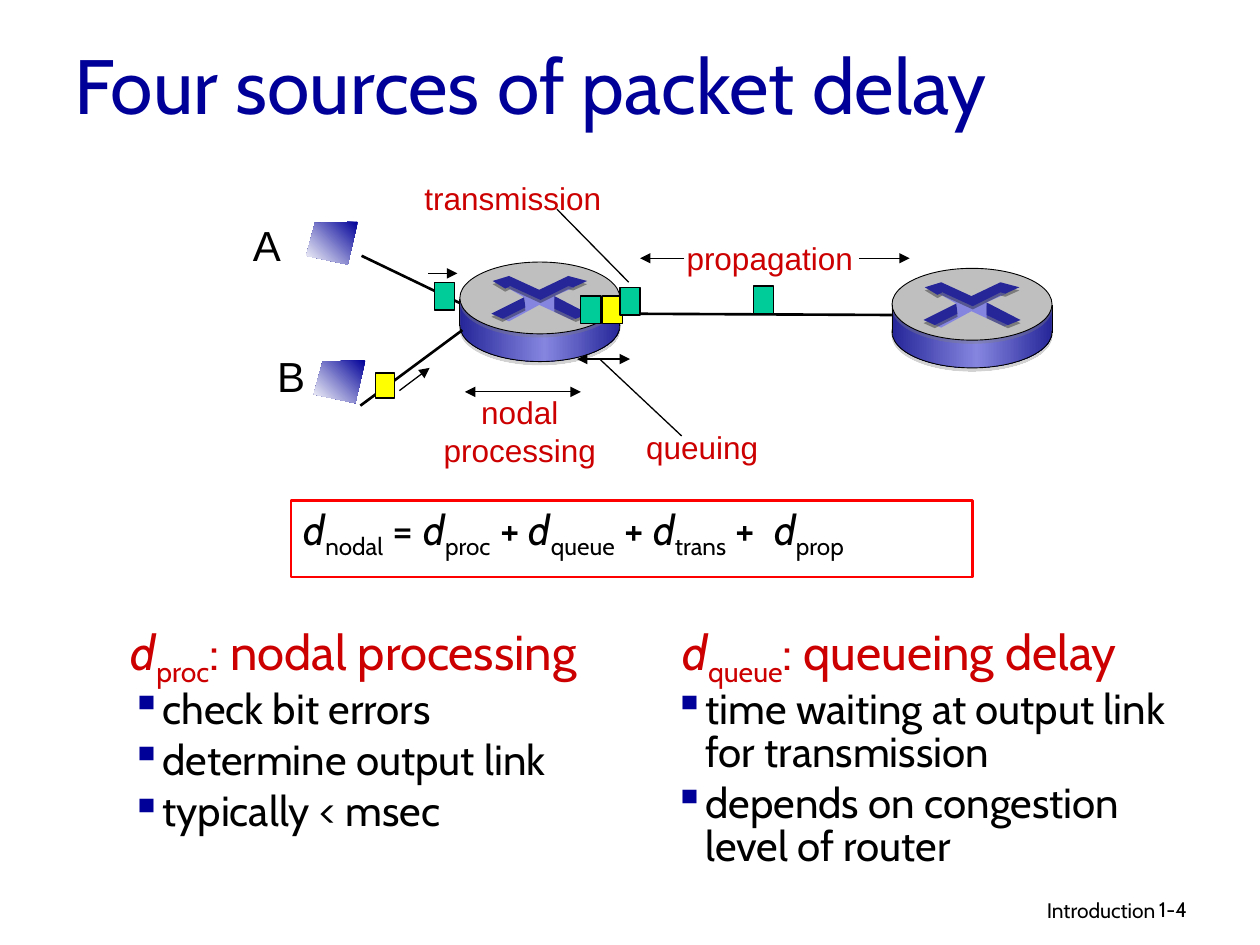
from lxml import etree
from pptx import Presentation
from pptx.dml.color import RGBColor
from pptx.enum.shapes import MSO_CONNECTOR, MSO_SHAPE
from pptx.enum.text import MSO_ANCHOR, MSO_AUTO_SIZE, PP_ALIGN
from pptx.oxml.ns import qn
from pptx.util import Inches, Pt

RECTANGLE, ELLIPSE = MSO_SHAPE.RECTANGLE, MSO_SHAPE.OVAL
STRAIGHT = MSO_CONNECTOR.STRAIGHT
LEFT, CENTER, RIGHT = PP_ALIGN.LEFT, PP_ALIGN.CENTER, PP_ALIGN.RIGHT
TOP, MIDDLE = MSO_ANCHOR.TOP, MSO_ANCHOR.MIDDLE

COLORS = {
    "black": "000000", "white": "FFFFFF", "navy": "000099", "red": "CC0000",
    "frame": "FF0000", "green": "00CC99", "yellow": "FFFF00", "top": "BFBFBF",
    "dark": "262699", "light": "8585E0", "shade": "808080",
}
METAL = [(0, "dark"), (53, "light"), (100, "dark")]
SCREEN = [(0, "navy"), (100, "white")]

# Router arrows, in hundredths of an inch from the router's top left corner
ARROW_SIDES = [(63, 34), (39, 47), (32, 44), (52, 36), (51, 28), (37, 20), (42, 19),
               (63, 29), (85, 18), (91, 20), (75, 27), (78, 38), (94, 44), (89, 46)]
ARROW_TOPS = [
    [(26, 15), (39, 11), (63, 22), (86, 11), (101, 15),
     (90, 20), (86, 19), (64, 30), (40, 19), (36, 21)],
    [(75, 27), (102, 41), (92, 45), (75, 37)],
    [(51, 28), (52, 36), (34, 45), (25, 41)],
]
HOST_OUTLINE = [(41, 0), (7, 1), (0, 27), (33, 34)]


def rgb(name):
    return RGBColor.from_string(COLORS[name])


def add_xml(parent, tag, **attributes):
    return etree.SubElement(parent, qn(tag), attributes)


def add_color(parent, name):
    return add_xml(parent, "a:srgbClr", val=COLORS[name])


def delay(name):
    """The symbol d with a subscript."""
    return [("d", "italic"), (name, "sub")]


class SlideBuilder:
    body_font = "Cabin"
    label_font = "Arial"

    def __init__(self, slide):
        self.slide = slide

    def paint(self, shape, fill=None, angle=0, line=None, weight=0.75, shadow=None):
        """Fill is a colour name, a list of gradient stops or None."""
        if isinstance(fill, list):
            shape.fill.gradient()
            stops = shape._element.spPr.find(".//" + qn("a:gsLst"))
            for stop in list(stops):
                stops.remove(stop)
            for position, name in fill:
                add_color(add_xml(stops, "a:gs", pos=str(position * 1000)), name)
            shape.fill.gradient_angle = angle
        elif fill:
            shape.fill.solid()
            shape.fill.fore_color.rgb = rgb(fill)
        else:
            shape.fill.background()
        if line:
            shape.line.color.rgb = rgb(line)
            shape.line.width = Pt(weight)
        else:
            shape.line.fill.background()
        shape.shadow.inherit = False
        if shadow:
            self.drop_shadow(shape._element.spPr.find(qn("a:effectLst")), shadow)

    def drop_shadow(self, effects, name):
        shadow = add_xml(effects, "a:outerShdw", dist=str(Pt(1.8)), dir="5400000",
                         algn="ctr", rotWithShape="0")
        add_xml(add_color(shadow, name), "a:alpha", val="35000")

    def shape(self, kind, left, top, width, height, **style):
        shape = self.slide.shapes.add_shape(
            kind, Inches(left), Inches(top), Inches(width), Inches(height))
        self.paint(shape, **style)
        return shape

    def outline(self, points, left, top, **style):
        x, y = round(left * 100), round(top * 100)
        corners = [(x + dx, y + dy) for dx, dy in points]
        builder = self.slide.shapes.build_freeform(*corners[0], scale=Inches(0.01))
        builder.add_line_segments(corners[1:], close=True)
        self.paint(builder.convert_to_shape(), **style)

    def line(self, start, end, weight=0.75, head=False, tail=False, shadow=None):
        connector = self.slide.shapes.add_connector(
            STRAIGHT, *(Inches(value) for value in start + end))
        connector.line.color.rgb = rgb("black")
        connector.line.width = Pt(weight)
        properties = connector._element.spPr
        for tag, wanted in (("a:headEnd", head), ("a:tailEnd", tail)):
            if wanted:
                add_xml(properties.find(qn("a:ln")), tag, type="triangle")
        effects = add_xml(properties, "a:effectLst")
        if shadow:
            self.drop_shadow(effects, shadow)

    def paragraph(self, paragraph, runs, size, color="black", font=None, align=LEFT,
                  hang=None, bullet=None, spacing=None, before=0):
        """Runs are (text, style) pairs; hang is (margin, first line indent)."""
        properties = paragraph._p.get_or_add_pPr()
        if hang:
            properties.set("marL", str(Inches(hang[0])))
            properties.set("indent", str(Inches(hang[1])))
        if bullet:
            add_color(add_xml(properties, "a:buClr"), "navy")
            add_xml(properties, "a:buChar", char=bullet)
        paragraph.alignment = align
        if spacing:
            paragraph.line_spacing = spacing
        if before:
            paragraph.space_before = Pt(before)
        paragraph.font.name = font or self.body_font
        paragraph.font.size = Pt(size)
        paragraph.font.color.rgb = rgb(color)
        for text, style in runs:
            run = paragraph.add_run()
            run.text = text
            if style == "italic":
                run.font.italic = True
            elif style == "sub":
                run._r.get_or_add_rPr().set("baseline", "-25000")

    def box(self, left, top, width, height, anchor=TOP, wrap=True):
        frame = self.slide.shapes.add_textbox(
            Inches(left), Inches(top), Inches(width), Inches(height)).text_frame
        frame.word_wrap = wrap
        frame.vertical_anchor = anchor
        if not wrap:
            frame.auto_size = MSO_AUTO_SIZE.SHAPE_TO_FIT_TEXT
        return frame

    def text(self, text, left, top, width, height, size, color="black", align=LEFT, anchor=TOP):
        frame = self.box(left, top, width, height, anchor)
        self.paragraph(frame.paragraphs[0], [(text, "")], size, color, align=align)

    def label(self, lines, left, top, width, height, size=18, color="red", align=LEFT):
        frame = self.box(left, top, width, height, wrap=False)
        for index, text in enumerate(lines):
            paragraph = frame.add_paragraph() if index else frame.paragraphs[0]
            self.paragraph(paragraph, [(text, "")], size, color, self.label_font, align)

    def explanation(self, left, height, heading, first_indent, points):
        frame = self.box(left, 4.91, 4.17, height)
        self.paragraph(frame.paragraphs[0], heading, 28, "red",
                       hang=(0.38, first_indent), spacing=0.85)
        for point in points:
            self.paragraph(frame.add_paragraph(), [(point, "")], 24, hang=(0.25, -0.25),
                           bullet="▪", spacing=0.85, before=4.8)

    def packet(self, left, top, color="green", width=0.16, height=0.22):
        self.shape(RECTANGLE, left, top, width, height, fill=color, line="black")

    def host(self, left, top):
        self.outline(HOST_OUTLINE, left, top, fill=SCREEN, angle=225)

    def router(self, left, top, width=1.27, height=0.57):
        rim = {"line": "black", "weight": 0.5, "shadow": "shade"}
        self.shape(ELLIPSE, left, top + 0.22, width, height, fill=METAL, **rim)
        self.shape(RECTANGLE, left, top + 0.29, width, 0.21, fill=METAL)
        self.shape(ELLIPSE, left, top, width, height, fill="top", **rim)
        self.outline(ARROW_SIDES, left, top, fill="light")
        for points in ARROW_TOPS:
            self.outline(points, left, top, fill="dark", shadow="black")
        for x in (left, left + width):
            self.line((x, top + 0.51), (x, top + 0.29), 0.5, shadow="shade")


def main():
    presentation = Presentation()
    presentation.slide_width, presentation.slide_height = Inches(10), Inches(7.5)
    builder = SlideBuilder(presentation.slides.add_slide(presentation.slide_layouts[6]))

    # Title and footer
    builder.text("Introduction", 6.1, 7.07, 3.17, 0.31, 12, align=RIGHT)
    builder.text("Four sources of packet delay", 0.49, 0.22, 8.5, 0.89, 44, "navy", anchor=MIDDLE)
    builder.text("1-4", 9.1, 7.07, 0.74, 0.3, 12)

    # Explanations of two delays
    builder.explanation(0.94, 1.79, delay("proc") + [(": nodal processing", "")], -0.38,
                        ["check bit errors", "determine output link", "typically < msec"])
    builder.explanation(5.25, 2.39, delay("queue") + [(": queueing delay", "")], -0.31,
                        ["time waiting at output link for transmission",
                         "depends on congestion level of router"])

    # First router, its links and its packets
    builder.line((2.87, 2.03), (3.68, 2.42), 1.5)
    builder.router(3.65, 2.08)
    builder.line((4.97, 2.49), (7.09, 2.5), 1.5)
    builder.packet(5.98, 2.27)
    builder.packet(4.61, 2.35)
    builder.packet(4.78, 2.35, "yellow")
    builder.packet(4.92, 2.28)
    builder.line((2.86, 3.22), (3.67, 2.62), 1.5)
    builder.packet(3.45, 2.24)
    builder.line((3.4, 2.17), (3.63, 2.17), tail=True)

    # Delay labels with their spans and pointers
    builder.label(["propagation"], 5.35, 1.85, 1.52, 0.4)
    builder.line((6.82, 2.05), (7.22, 2.05), tail=True)
    builder.line((5.43, 2.05), (5.08, 2.05), tail=True)
    builder.label(["nodal", "processing"], 3.42, 3.07, 1.41, 0.7, align=CENTER)
    builder.line((4.61, 3.11), (3.69, 3.11), head=True, tail=True)
    builder.line((5, 2.85), (4.58, 2.85), head=True, tail=True)
    builder.label(["queuing"], 5.03, 3.35, 1.1, 0.4)
    builder.line((5.41, 3.46), (4.76, 2.85))
    builder.label(["transmission"], 3.27, 1.37, 1.6, 0.4)
    builder.line((4.42, 1.66), (4.99, 2.24))

    # Formula
    formula = builder.shape(RECTANGLE, 2.31, 3.97, 5.41, 0.61, line="frame", weight=1.5)
    formula.text_frame.vertical_anchor = TOP
    runs = delay("nodal")
    for sign, name in ((" = ", "proc"), (" + ", "queue"), (" + ", "trans"), (" +  ", "prop")):
        runs += [(sign, "")] + delay(name)
    builder.paragraph(formula.text_frame.paragraphs[0], runs, 24, hang=(0.31, -0.31), spacing=0.85)

    # Hosts
    builder.label(["A"], 1.91, 1.69, 0.44, 0.5, 24, "black")
    builder.label(["B"], 2.1, 2.73, 0.42, 0.5, 24, "black")
    builder.host(2.43, 1.76)
    builder.host(2.49, 2.86)

    # Second router and the packet leaving B
    builder.router(7.08, 2.13)
    builder.packet(2.98, 2.96, "yellow", 0.15, 0.2)
    builder.line((3.17, 3.1), (3.41, 2.92), tail=True)

    presentation.save("out.pptx")


if __name__ == "__main__":
    main()
